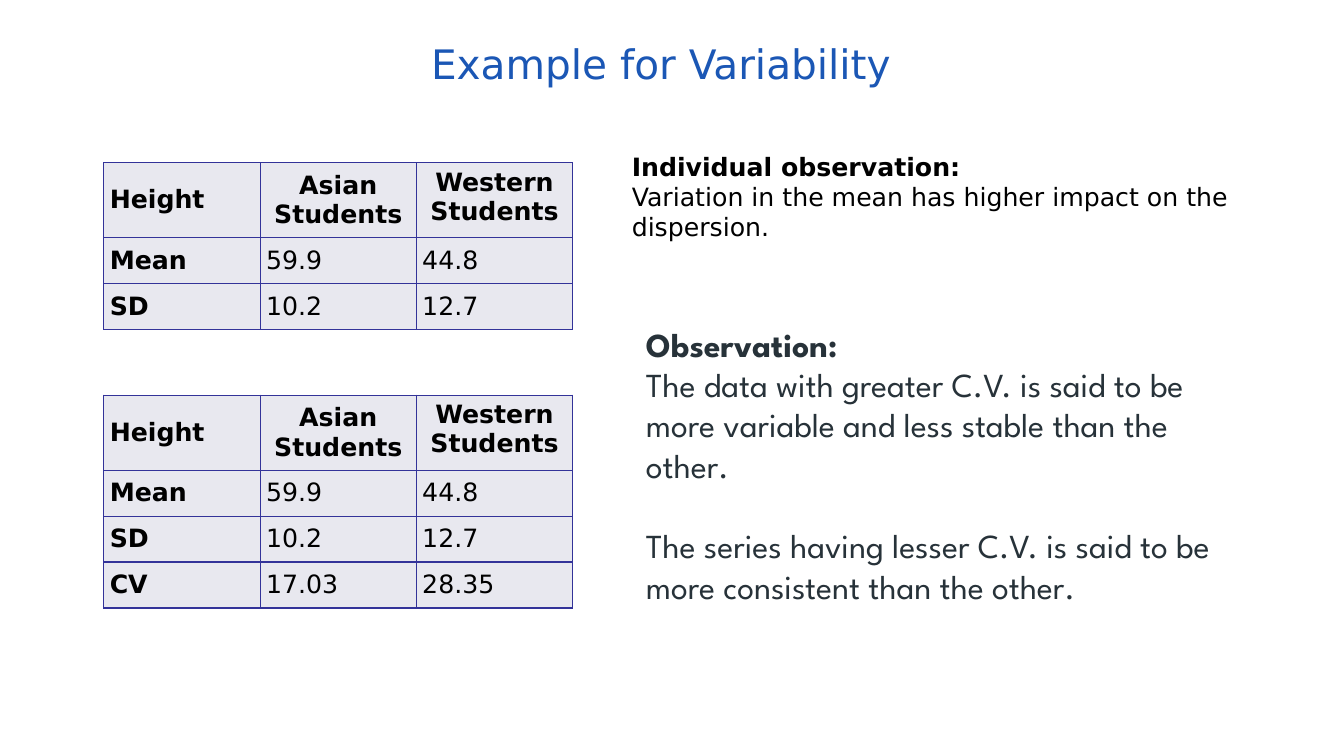
from dataclasses import dataclass

import pptx
import pptx.dml.color
import pptx.enum.text
import pptx.oxml
import pptx.oxml.ns
import pptx.slide
import pptx.table
import pptx.text.text
import pptx.util

Pt = pptx.util.Pt
RGB = pptx.dml.color.RGBColor
Align = pptx.enum.text.PP_ALIGN
Anchor = pptx.enum.text.MSO_ANCHOR
Fit = pptx.enum.text.MSO_AUTO_SIZE

BLUE = RGB(0x1B, 0x57, 0xB5)
BLACK = RGB(0, 0, 0)
SLATE = RGB(0x27, 0x32, 0x39)
PALE = RGB(0xE8, 0xE8, 0xEF)
EDGE = RGB(0x33, 0x33, 0x99)

LEFT = 74.2
COL = 111.6
HEAD = 53.5
ROW = 32.8
HEADER = ("Height", "Asian Students", "Western Students")
MEAN = ("Mean", "59.9", "44.8")
SD = ("SD", "10.2", "12.7")
CV = ("CV", "17.03", "28.35")


@dataclass
class Style:
    face: str
    size: float
    color: RGB


@dataclass
class Grid:
    top: float
    rows: list[tuple[str, str, str]]


@dataclass
class Line:
    text: str
    bold: bool = False
    gap: float = 0


@dataclass
class Note:
    left: float
    top: float
    width: float
    height: float
    style: Style
    lines: list[Line]


TITLE = Style("DejaVu Sans", 29, BLUE)
PLAIN = Style("DejaVu Sans", 18, BLACK)
LARGE = Style("League Spartan", 24, SLATE)

GRIDS = [
    Grid(116.3, [HEADER, MEAN, SD]),
    Grid(282.4, [HEADER, MEAN, SD, CV]),
]
NOTES = [
    Note(444.2, 104.4, 459.4, 72.7, PLAIN, [
        Line("Individual observation:", bold=True),
        Line("Variation in the mean has higher impact on the dispersion."),
    ]),
    Note(454.3, 227.5, 439.2, 211, LARGE, [
        Line("Observation:", bold=True),
        Line("The data with greater C.V. is said to be more variable "
             "and less stable than the other."),
        Line("The series having lesser C.V. is said to be more "
             "consistent than the other.", gap=29),
    ]),
]


def add_run(para: pptx.text.text._Paragraph, text: str, style: Style,
            bold: bool = False) -> None:
    run = para.add_run()
    run.text = text
    font = run.font
    font.name = style.face
    font.size = Pt(style.size)
    font.color.rgb = style.color
    font.bold = bold


def add_edges(cell: pptx.table._Cell) -> None:
    props = cell._tc.get_or_add_tcPr()
    space = pptx.oxml.ns.nsdecls("a")
    for side in "LRTB":
        props.append(pptx.oxml.parse_xml(
            f'<a:ln{side} {space} w="{Pt(1)}"><a:solidFill>'
            f'<a:srgbClr val="{EDGE}"/></a:solidFill></a:ln{side}>'))


def fill_cell(cell: pptx.table._Cell, text: str, row: int, col: int) -> None:
    add_edges(cell)
    cell.fill.solid()
    cell.fill.fore_color.rgb = PALE
    # The last header cell keeps the default margins and top anchor
    if (row, col) != (0, 2):
        cell.vertical_anchor = Anchor.MIDDLE
        cell.margin_left = cell.margin_right = Pt(4.2)
        cell.margin_top = cell.margin_bottom = Pt(5.7)
    para = cell.text_frame.paragraphs[0]
    para.alignment = Align.CENTER if row == 0 and col > 0 else Align.LEFT
    add_run(para, text, PLAIN, bold=row == 0 or col == 0)


def add_grid(slide: pptx.slide.Slide, grid: Grid) -> None:
    count = len(grid.rows)
    table = slide.shapes.add_table(
        count, len(HEADER), Pt(LEFT), Pt(grid.top), Pt(COL * len(HEADER)),
        Pt(HEAD + ROW * (count - 1))).table
    table.first_row = table.horz_banding = False
    for col in table.columns:
        col.width = Pt(COL)
    for r, texts in enumerate(grid.rows):
        table.rows[r].height = Pt(ROW if r else HEAD)
        for c, text in enumerate(texts):
            fill_cell(table.cell(r, c), text, r, c)


def add_note(slide: pptx.slide.Slide, note: Note) -> None:
    frame = slide.shapes.add_textbox(
        Pt(note.left), Pt(note.top), Pt(note.width), Pt(note.height)).text_frame
    frame.word_wrap = True
    frame.auto_size = Fit.SHAPE_TO_FIT_TEXT
    for i, line in enumerate(note.lines):
        para = frame.add_paragraph() if i else frame.paragraphs[0]
        if line.gap:
            para.space_before = Pt(line.gap)
        add_run(para, line.text, note.style, line.bold)


def add_title(slide: pptx.slide.Slide, text: str) -> None:
    title = slide.shapes.title
    title.left, title.top = Pt(40.3), Pt(18)
    title.width, title.height = Pt(864), Pt(54)
    frame = title.text_frame
    frame.word_wrap = True
    frame.auto_size = Fit.NONE
    frame.vertical_anchor = Anchor.MIDDLE
    frame.margin_left = frame.margin_right = Pt(7.9)
    frame.margin_top = frame.margin_bottom = Pt(4.3)
    para = frame.paragraphs[0]
    para.alignment = Align.CENTER
    add_run(para, text, TITLE)


def main() -> None:
    deck = pptx.Presentation()
    deck.slide_width, deck.slide_height = Pt(960), Pt(540)
    slide = deck.slides.add_slide(deck.slide_layouts[5])

    # Title
    add_title(slide, "Example for Variability")

    # Tables on the left
    for grid in GRIDS:
        add_grid(slide, grid)

    # Observations on the right
    for note in NOTES:
        add_note(slide, note)

    deck.save("out.pptx")


if __name__ == "__main__":
    main()
